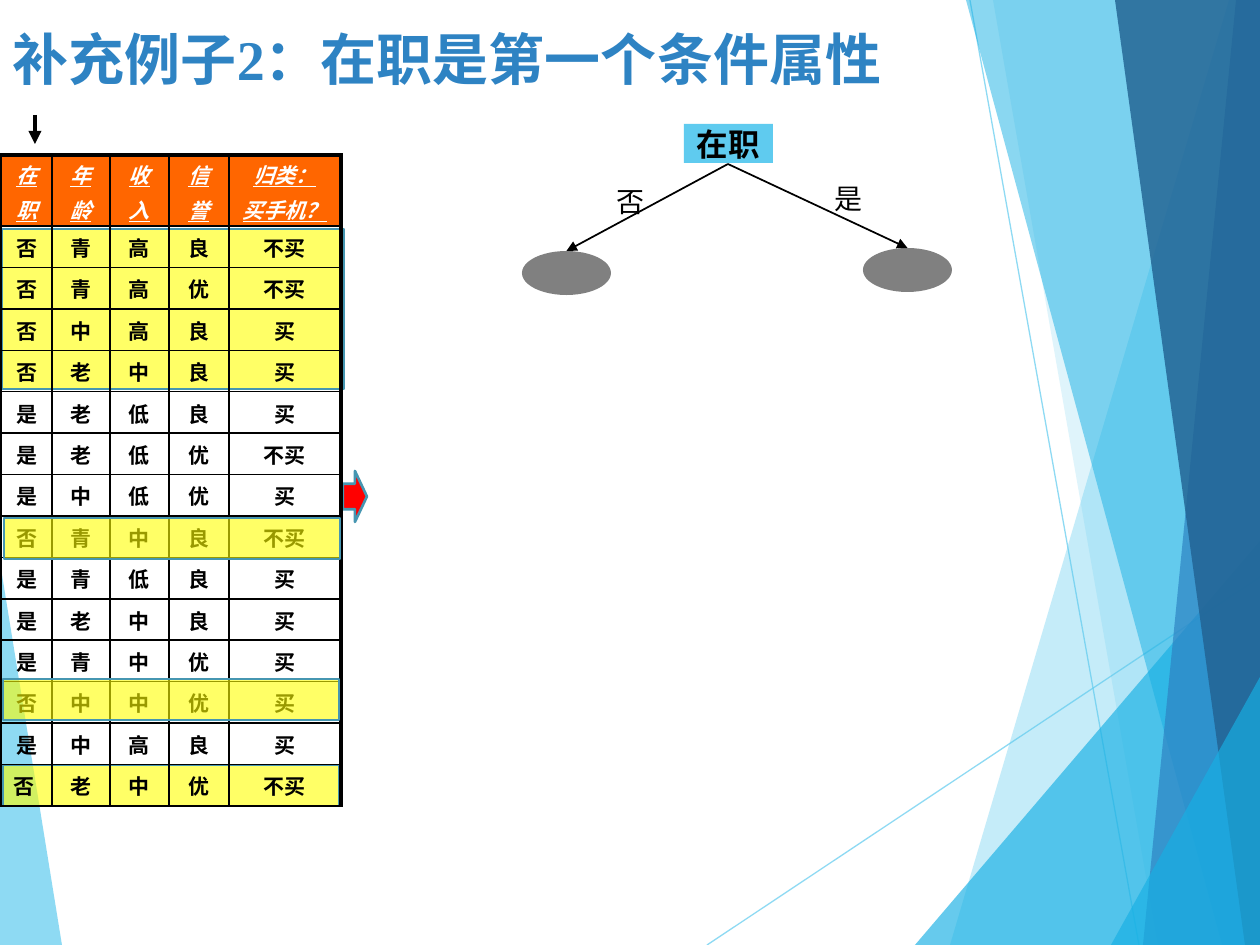
from lxml import etree
from pptx import Presentation
from pptx.dml.color import RGBColor
from pptx.enum.shapes import MSO_CONNECTOR, MSO_SHAPE
from pptx.enum.text import MSO_ANCHOR, PP_ALIGN
from pptx.oxml.ns import qn
from pptx.util import Emu, Pt

RECT, OVAL, ARROW = MSO_SHAPE.RECTANGLE, MSO_SHAPE.OVAL, MSO_SHAPE.RIGHT_ARROW
LINE = MSO_CONNECTOR.STRAIGHT
LEFT, MID = PP_ALIGN.LEFT, PP_ALIGN.CENTER
TOP, CENTER = MSO_ANCHOR.TOP, MSO_ANCHOR.MIDDLE

SKY = RGBColor(0x5F, 0xCB, 0xEF)
CYAN = RGBColor(0x17, 0xB0, 0xE4)
BLUE = RGBColor(0x2E, 0x83, 0xC3)
NAVY = RGBColor(0x22, 0x62, 0x92)
TEAL = RGBColor(0x46, 0x96, 0xB1)
YELLOW = RGBColor(0xFF, 0xFF, 0x00)
ORANGE = RGBColor(0xFF, 0x66, 0x00)
RED = RGBColor(0xFF, 0x00, 0x00)
GREY = RGBColor(0x80, 0x80, 0x80)
BLACK = RGBColor(0x00, 0x00, 0x00)
WHITE = RGBColor(0xFF, 0xFF, 0xFF)

PX = 914400 / 126
WIDE, HIGH = 1260, 945

TITLE = "补充例子2：在职是第一个条件属性"
HEAD = ["在\n职", "年\n龄", "收\n入", "信\n誉", "归类：\n买手机？"]
ROWS = [
    "否,青,高,良,不买", "否,青,高,优,不买", "否,中,高,良,买", "否,老,中,良,买",
    "是,老,低,良,买", "是,老,低,优,不买", "是,中,低,优,买", "否,青,中,良,不买",
    "是,青,低,良,买", "是,老,中,良,买", "是,青,中,优,买", "否,中,中,优,买",
    "是,中,高,良,买", "否 ,老,中,优,不买",
]
COLS = [51, 58, 59, 60, 112]
LEFT_X, TOP_Y, HEAD_H, BODY_H = 1, 155, 71, 580

RAYS = [((707, 945), (1260, 577)), ((970, 0), (1139, 945))]
EDGE = [
    ([(0, 562), (62, 945), (0, 945)], SKY, 70),
    ([(1229, 0), (950, 945), (1260, 945), (1260, 0)], SKY, 36),
    ([(993, 0), (1158, 945), (1260, 945), (1260, 0)], SKY, 20),
    ([(915, 945), (1260, 541), (1260, 945)], CYAN, 66),
    ([(966, 0), (1222, 945), (1260, 945), (1260, 0)], CYAN, 50),
    ([(1236, 0), (1143, 945), (1260, 945), (1260, 0)], BLUE, 70),
    ([(1115, 0), (1245, 945), (1260, 945), (1260, 0)], NAVY, 82),
    ([(1111, 945), (1260, 677), (1260, 945)], CYAN, 66),
]
UNDER = [(3, 765, 336, 41), (2, 229, 342, 160)]
OVER = [(3, 679, 336, 41), (4, 518, 336, 41)]
ROOT = (684, 124, 89, 39)
FORK = (728, 164)
LEAVES = [((522, 251, 89, 44), "否", (591, 178, 79, 47)),
          ((863, 248, 89, 44), "是", (809, 175, 79, 47))]

TITLE_FONT = dict(name="Times New Roman", size=Pt(32), bold=True)
HEAD_FONT = dict(name="Times New Roman", size=Pt(12), bold=True,
                 italic=True, underline=True)
BODY_FONT = dict(name="Arial", size=Pt(12), bold=True)
ROOT_FONT = dict(name="Lato", size=Pt(18), bold=True)
LABEL_FONT = dict(name="Times New Roman", size=Pt(16))


def px(n):
    return Emu(round(n * PX))


def put(obj, **vals):
    for key, val in vals.items():
        setattr(obj, key, val)


def write(frame, text, look, color, align=MID):
    frame.text = text
    for i, para in enumerate(frame.paragraphs):
        para.alignment = align
        if i:
            para.space_before = Pt(2.4)
        for run in para.runs:
            put(run.font, **look)
            run.font.color.rgb = color


def fade(shape, pct):
    for clr in shape.element.iter(qn("a:srgbClr")):
        etree.SubElement(clr, qn("a:alpha"), val=str(pct * 1000))


def paint(shape, color, pct=100, edge=None):
    shape.shadow.inherit = False
    shape.fill.solid()
    shape.fill.fore_color.rgb = color
    if pct < 100:
        fade(shape, pct)
    if edge is None:
        shape.line.fill.background()
    else:
        shape.line.color.rgb = edge
        shape.line.width = Pt(1.5)


def block(kind, box, *look):
    shape = shapes.add_shape(kind, *map(px, box))
    paint(shape, *look)
    return shape


def join(start, end, color, width, head=False):
    line = shapes.add_connector(LINE, *map(px, start + end))
    line.line.color.rgb = color
    line.line.width = Pt(width)
    if head:
        etree.SubElement(line.line._get_or_add_ln(), qn("a:tailEnd"), type="triangle")
    etree.SubElement(line.element.spPr, qn("a:effectLst"))
    return line


def border(cell, widths):
    props = cell._tc.get_or_add_tcPr()
    for i, (side, width) in enumerate(widths.items()):
        ln = etree.Element(qn("a:ln" + side), w=str(Pt(width)))
        fill = etree.SubElement(ln, qn("a:solidFill"))
        etree.SubElement(fill, qn("a:srgbClr"), val=str(BLACK))
        props.insert(i, ln)


def grid():
    data = [HEAD] + [row.split(",") for row in ROWS]
    frame = shapes.add_table(len(data), len(COLS), px(LEFT_X), px(TOP_Y),
                             px(sum(COLS)), px(HEAD_H + BODY_H))
    table = frame.table
    put(table, first_row=False, horz_banding=False)
    for col, width in zip(table.columns, COLS):
        col.width = px(width)
    for r, row in enumerate(data):
        table.rows[r].height = px(BODY_H / len(ROWS) if r else HEAD_H)
        for c, text in enumerate(row):
            cell = table.cell(r, c)
            put(cell, vertical_anchor=TOP, margin_top=px(6 if r else 4),
                margin_bottom=px(4 if r else 0))
            if r:
                cell.fill.background()
                write(cell.text_frame, text, BODY_FONT, BLACK)
            else:
                cell.fill.solid()
                cell.fill.fore_color.rgb = ORANGE
                write(cell.text_frame, text, HEAD_FONT, WHITE)
            last = c == len(COLS) - 1
            border(cell, dict(L=1, R=2.25 if last else 1, T=1 if r else 2.25, B=1))


deck = Presentation()
put(deck, slide_width=px(WIDE), slide_height=px(HIGH))
slide = deck.slides.add_slide(deck.slide_layouts[5])
shapes = slide.shapes

title = shapes.title
put(title, left=px(0), top=px(24), width=px(1084), height=px(67))
put(title.text_frame, vertical_anchor=TOP, margin_top=0, word_wrap=True)
write(title.text_frame, TITLE, TITLE_FONT, BLUE, LEFT)

for i, (points, color, pct) in enumerate(EDGE):
    path = shapes.build_freeform(*points[0], scale=PX)
    path.add_line_segments(points[1:])
    paint(path.convert_to_shape(), color, pct)
    if i == 0:
        for start, end in RAYS:
            fade(join(start, end, SKY, 0.75), 70)

block(ARROW, (343, 471, 24, 51), RED, 100, TEAL)
join((35, 115), (35, 144), BLACK, 2.5, True)
for box in UNDER:
    block(RECT, box, YELLOW, 60, TEAL)
grid()
for box in OVER:
    block(RECT, box, YELLOW, 60, TEAL)

root = block(RECT, ROOT, SKY).text_frame
put(root, vertical_anchor=CENTER, margin_top=0, margin_bottom=0)
write(root, "在职", ROOT_FONT, BLACK)
for box, text, spot in LEAVES:
    block(OVAL, box, GREY)
    join(FORK, (box[0] + box[2] / 2, box[1]), BLACK, 1, True)
    label = shapes.add_textbox(*map(px, spot)).text_frame
    label.word_wrap = True
    write(label, text, LABEL_FONT, BLACK)

deck.save("out.pptx")
